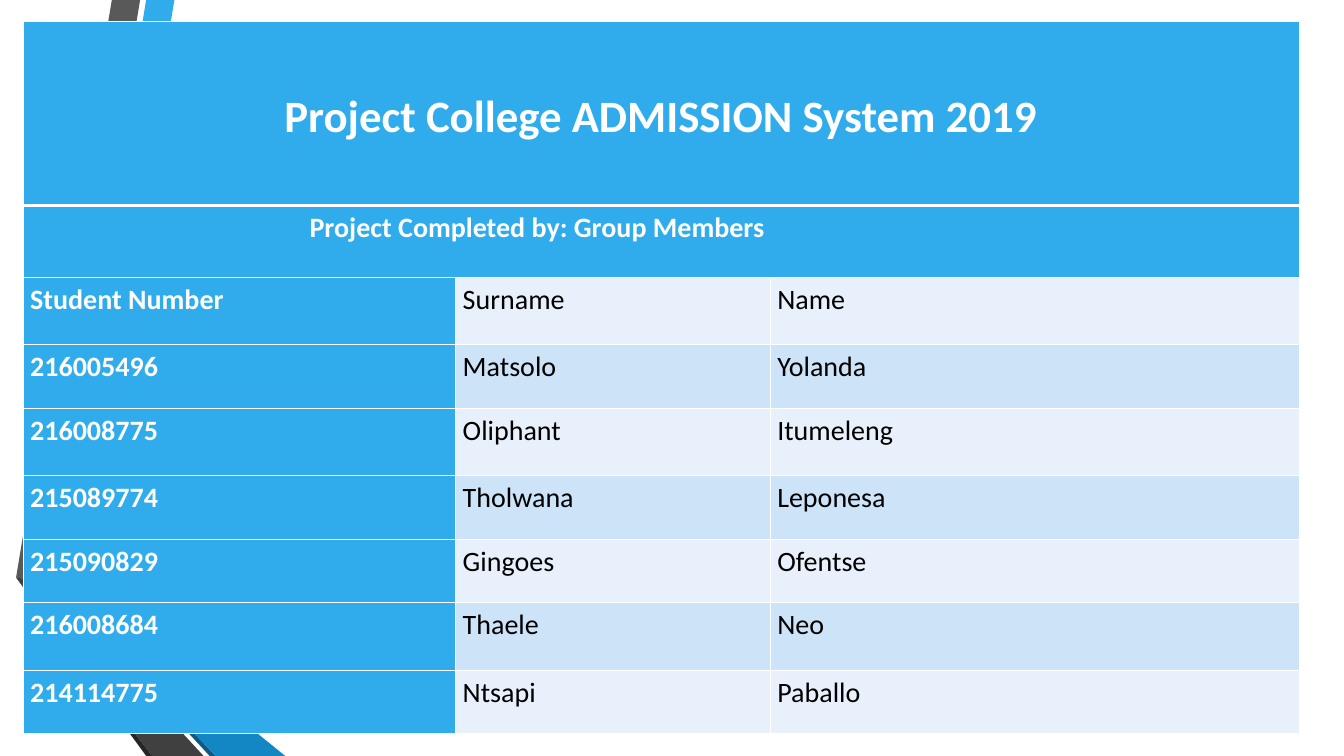
"""Build the project title slide with its table of group members."""
import lxml.etree
import pptx
import pptx.dml.color
import pptx.enum.text
import pptx.oxml.ns
import pptx.util

RGBColor = pptx.dml.color.RGBColor
WHITE = RGBColor(0xFF, 0xFF, 0xFF)
BLACK = RGBColor(0x00, 0x00, 0x00)
BLUE = RGBColor(0x30, 0xAC, 0xEC)
MID_BLUE = RGBColor(0x12, 0x87, 0xC3)
DARK_BLUE = RGBColor(0x0C, 0x5A, 0x82)
GREY = RGBColor(0x59, 0x59, 0x59)
DARK_GREY = RGBColor(0x40, 0x40, 0x40)
DARKEST_GREY = RGBColor(0x26, 0x26, 0x26)
PALE_BLUE = RGBColor(0xE8, 0xF1, 0xFB)
LIGHT_BLUE = RGBColor(0xCD, 0xE3, 0xF8)

TITLE = "Project College ADMISSION System 2019"
SUBTITLE = "Project Completed by: Group Members"
MEMBERS = [
    ("Student Number", "Surname", "Name"),
    ("216005496", "Matsolo", "Yolanda"),
    ("216008775", "Oliphant", "Itumeleng"),
    ("215089774", "Tholwana", "Leponesa"),
    ("215090829", "Gingoes", "Ofentse"),
    ("216008684", "Thaele", "Neo"),
    ("214114775", "Ntsapi", "Paballo"),
]
RIBBONS = [
    (BLUE, [(50, 578), (77, 583), (173, 0), (145, 0)]),
    (GREY, [(139, 0), (111, 0), (16, 573), (44, 577)]),
    (DARKEST_GREY, [(16, 573), (145, 750), (151, 750)]),
    (DARK_BLUE, [(50, 579), (208, 750), (214, 750)]),
    (MID_BLUE, [(50, 579), (214, 750), (283, 750), (77, 583), (50, 578)]),
    (DARK_GREY, [(202, 750), (48, 583), (43, 578), (44, 577), (16, 573), (151, 750)]),
]

EMU_PER_PX = 9144
SLIDE_SIZE = (1333, 750)
TABLE_LEFT, TABLE_TOP = 23, 21
COLUMN_WIDTHS = [429, 312, 525]
ROW_HEIGHTS = [183, 71, 67, 63, 67, 63, 63, 67, 63]
MARGIN_LEFT, MARGIN_TOP, MARGIN_RIGHT = 7, 3, 8
SUBTITLE_MARGIN = 284
BORDER_PT, HEADER_BORDER_PT = 1, 3


def px(length):
    return pptx.util.Emu(length * EMU_PER_PX)


def draw_ribbon(slide, color, points):
    builder = slide.shapes.build_freeform(*points[0], scale=EMU_PER_PX)
    builder.add_line_segments(points[1:], close=True)
    shape = builder.convert_to_shape()
    shape.shadow.inherit = False
    shape.fill.solid()
    shape.fill.fore_color.rgb = color
    shape.line.fill.background()


def draw_borders(cell, widths):
    properties = cell._tc.get_or_add_tcPr()
    for index, (side, width) in enumerate(zip("LRTB", widths)):
        line = lxml.etree.Element(pptx.oxml.ns.qn(f"a:ln{side}"), w=str(pptx.util.Pt(width)))
        fill = lxml.etree.SubElement(line, pptx.oxml.ns.qn("a:solidFill"))
        lxml.etree.SubElement(fill, pptx.oxml.ns.qn("a:srgbClr"), val=str(WHITE))
        properties.insert(index, line)


def format_cell(cell, row, column):
    is_blue = row < 2 or column == 0
    cell.fill.solid()
    cell.fill.fore_color.rgb = BLUE if is_blue else (PALE_BLUE, LIGHT_BLUE)[row % 2]
    top = HEADER_BORDER_PT if row == 1 else BORDER_PT
    bottom = HEADER_BORDER_PT if row == 0 else BORDER_PT
    draw_borders(cell, (BORDER_PT, BORDER_PT, top, bottom))
    cell.margin_left = px(SUBTITLE_MARGIN if row == 1 else MARGIN_LEFT)
    cell.margin_top, cell.margin_right, cell.margin_bottom = px(MARGIN_TOP), px(MARGIN_RIGHT), 0
    paragraph = cell.text_frame.paragraphs[0]
    paragraph.line_spacing = 1.07
    if row == 0:
        cell.vertical_anchor = pptx.enum.text.MSO_ANCHOR.MIDDLE
        paragraph.alignment = pptx.enum.text.PP_ALIGN.CENTER
    for run in paragraph.runs:
        run.font.name = "Calibri"
        run.font.size = pptx.util.Pt(32 if row == 0 else 20)
        run.font.bold = is_blue
        run.font.color.rgb = WHITE if is_blue else BLACK


def draw_table(slide):
    rows = [(TITLE, "", ""), (SUBTITLE, "", "")] + MEMBERS
    frame = slide.shapes.add_table(
        len(rows), len(COLUMN_WIDTHS), px(TABLE_LEFT), px(TABLE_TOP),
        px(sum(COLUMN_WIDTHS)), px(sum(ROW_HEIGHTS)))
    table = frame.table
    for column, width in zip(table.columns, COLUMN_WIDTHS):
        column.width = px(width)
    for row, height in zip(table.rows, ROW_HEIGHTS):
        row.height = px(height)
    for row, texts in enumerate(rows):
        for column, text in enumerate(texts):
            cell = table.cell(row, column)
            cell.text_frame.text = text
            format_cell(cell, row, column)
    for row in range(2):
        table.cell(row, 0).merge(table.cell(row, len(COLUMN_WIDTHS) - 1))


def main():
    presentation = pptx.Presentation()
    presentation.slide_width, presentation.slide_height = map(px, SLIDE_SIZE)
    slide = presentation.slides.add_slide(presentation.slide_layouts.get_by_name("Blank"))
    for color, points in RIBBONS:
        draw_ribbon(slide, color, points)
    draw_table(slide)
    presentation.save("out.pptx")


if __name__ == "__main__":
    main()
